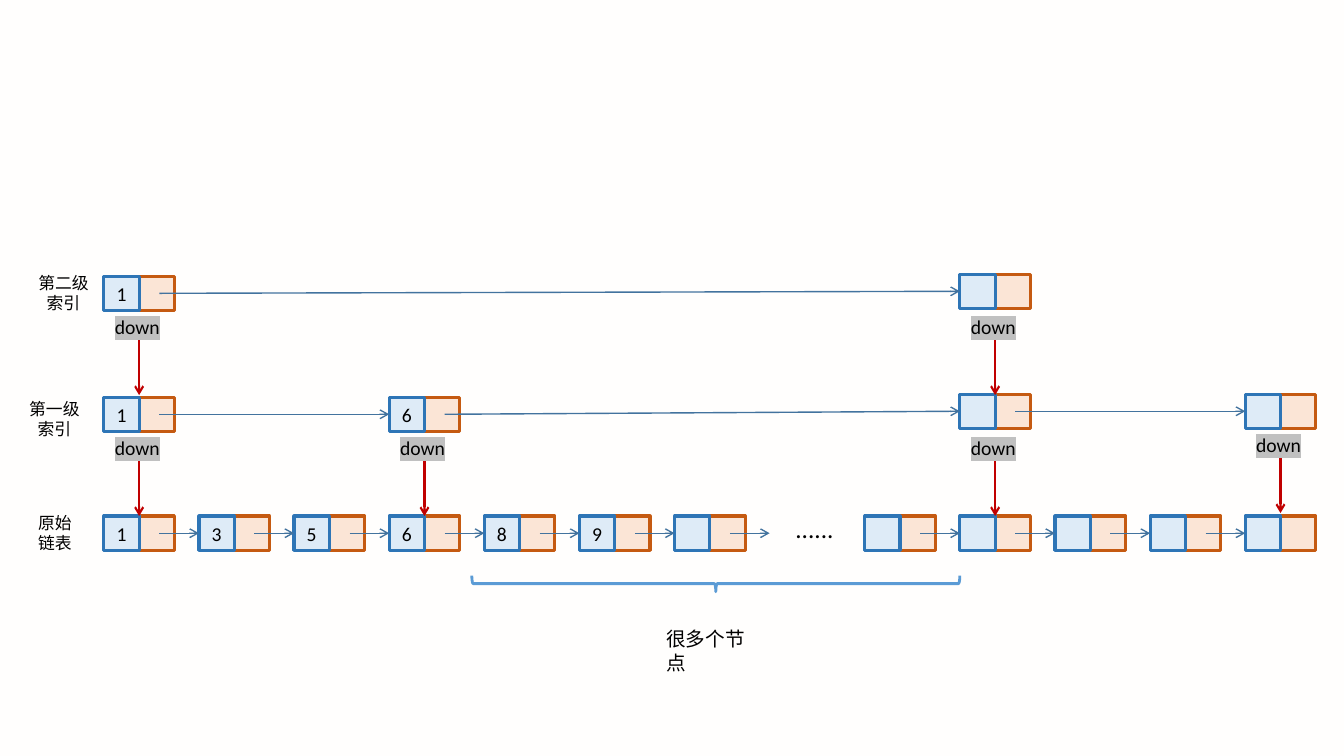
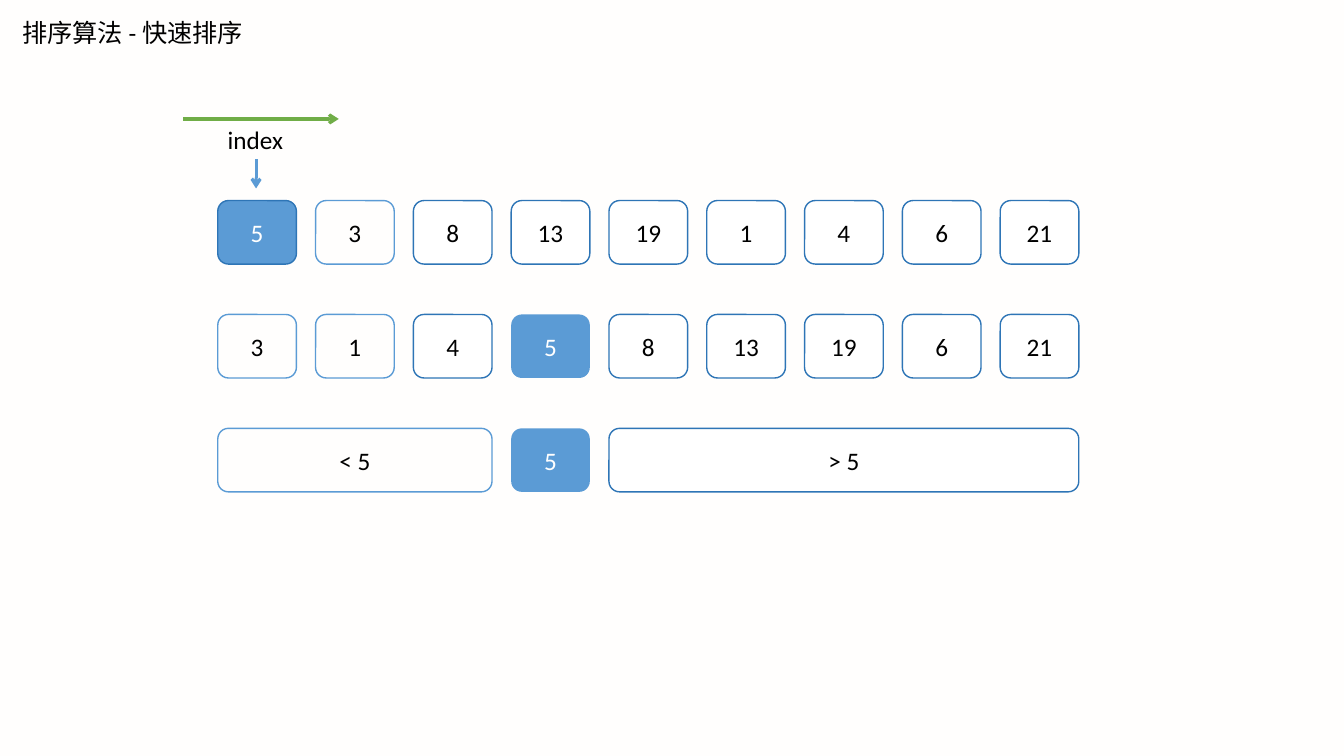
from dataclasses import dataclass
from typing import Optional

import pptx
import pptx.dml.color
import pptx.enum.shapes
import pptx.enum.text
import pptx.oxml.ns
import pptx.util
from lxml import etree

Inches = pptx.util.Inches
Shapes = pptx.enum.shapes.MSO_SHAPE
Align = pptx.enum.text.PP_ALIGN
Anchor = pptx.enum.text.MSO_ANCHOR
qn = pptx.oxml.ns.qn


# Theme
@dataclass(frozen=True)
class Theme:
    background: str = "FFFEFD"
    text: str = "000000"
    white: str = "FFFFFF"
    highlight: str = "C0C0C0"
    accent: str = "5B9BD5"
    outline: str = "2E75B6"
    data_fill: str = "DEEBF7"
    pointer_fill: str = "FBE5D6"
    pointer_outline: str = "C55A11"
    link: str = "43739E"
    down: str = "C00000"
    direction: str = "70AD47"
    latin: str = "Calibri"
    chinese: str = "Noto Sans CJK SC"
    small: int = 12
    medium: int = 14
    large: int = 18


THEME = Theme()


@dataclass(frozen=True)
class Label:
    text: str
    left: float
    top: float
    width: float
    height: float
    size: int = THEME.small
    font: str = THEME.chinese
    align: Align = Align.CENTER
    highlight: Optional[str] = None
    wrap: bool = False


@dataclass(frozen=True)
class Node:
    slot: int
    top: float
    text: str = ""
    next_slot: Optional[int] = None
    has_down: bool = False


@dataclass(frozen=True)
class BoxStyle:
    fill: Optional[str]
    line: Optional[str]
    text: str = THEME.text


@dataclass(frozen=True)
class Box:
    text: str
    style: BoxStyle
    column: int
    span: int = 1


# Shared drawing functions
def rgb(color: str) -> pptx.dml.color.RGBColor:
    return pptx.dml.color.RGBColor.from_string(color)


def write_text(shape, text: str, *, size: int, font: str = THEME.latin,
               color: str = THEME.text, align: Align = Align.LEFT,
               anchor: Anchor = Anchor.TOP, highlight: Optional[str] = None,
               wrap: bool = True) -> None:
    frame = shape.text_frame
    frame.word_wrap = wrap
    frame.vertical_anchor = anchor
    for index, line in enumerate(text.split("\n")):
        paragraph = frame.add_paragraph() if index else frame.paragraphs[0]
        paragraph.alignment = align
        run = paragraph.add_run()
        run.text = line
        run.font.size = pptx.util.Pt(size)
        run.font.color.rgb = rgb(color)
        run.font.name = font
        properties = run._r.get_or_add_rPr()
        etree.SubElement(properties, qn("a:ea"), typeface=THEME.chinese)
        if highlight:
            marker = etree.Element(qn("a:highlight"))
            etree.SubElement(marker, qn("a:srgbClr"), val=highlight)
            properties.find(qn("a:solidFill")).addnext(marker)


def add_label(slide, label: Label) -> None:
    shape = slide.shapes.add_textbox(Inches(label.left), Inches(label.top),
                                     Inches(label.width), Inches(label.height))
    write_text(shape, label.text, size=label.size, font=label.font,
               align=label.align, highlight=label.highlight, wrap=label.wrap)


def add_block(slide, kind: Shapes, left: float, top: float, width: float,
              height: float, *, fill: Optional[str], line: Optional[str],
              weight: float):
    shape = slide.shapes.add_shape(kind, Inches(left), Inches(top),
                                   Inches(width), Inches(height))
    shape.shadow.inherit = False
    if fill:
        shape.fill.solid()
        shape.fill.fore_color.rgb = rgb(fill)
    else:
        shape.fill.background()
    if line:
        shape.line.color.rgb = rgb(line)
        shape.line.width = pptx.util.Pt(weight)
    else:
        shape.line.fill.background()
    return shape


def add_arrow(slide, start: tuple[float, float], end: tuple[float, float], *,
              color: str, weight: float):
    arrow = slide.shapes.add_connector(
        pptx.enum.shapes.MSO_CONNECTOR.STRAIGHT,
        Inches(start[0]), Inches(start[1]), Inches(end[0]), Inches(end[1]))
    arrow.line.color.rgb = rgb(color)
    arrow.line.width = pptx.util.Pt(weight)
    etree.SubElement(arrow.line._get_or_add_ln(), qn("a:tailEnd"), type="arrow")
    etree.SubElement(arrow._element.spPr, qn("a:effectLst"))
    return arrow


# Skip list
CELL_WIDTH, CELL_HEIGHT = 0.35, 0.34
FIRST_LEFT, LAST_LEFT, LAST_SLOT = 1.03, 12.35, 12
GAP_SLOT = 7
BASE_TOP, FIRST_TOP, SECOND_TOP = 5.12, 3.94, 2.74
BASE_TEXTS = ["1", "3", "5", "6", "8", "9"]

NODES = [
    Node(slot, BASE_TOP, BASE_TEXTS[slot] if slot < len(BASE_TEXTS) else "",
         slot + 1 if slot < LAST_SLOT else None)
    for slot in range(LAST_SLOT + 1) if slot != GAP_SLOT
] + [
    Node(0, FIRST_TOP, "1", 3, True),
    Node(3, FIRST_TOP, "6", 9, True),
    Node(9, 3.91, "", 12, True),
    Node(12, 3.91, "", None, True),
    Node(0, SECOND_TOP, "1", 9, True),
    Node(9, 2.72, "", None, True),
]

LIST_LABELS = [
    Label("第二级\n索引", 0.28, 2.66, 0.7, 0.5),
    Label("第一级\n索引", 0.19, 3.91, 0.7, 0.5),
    Label("原始\n链表", 0.28, 5.04, 0.53, 0.5),
    Label("......", 7.79, 5.04, 0.62, 0.4, THEME.large, THEME.latin, Align.LEFT),
    Label("很多个节点", 6.51, 6.17, 1.17, 0.34, THEME.medium, align=Align.LEFT),
]


def slot_left(slot: int) -> float:
    return FIRST_LEFT + slot * (LAST_LEFT - FIRST_LEFT) / LAST_SLOT


def add_node(slide, node: Node):
    left = slot_left(node.slot)
    add_block(slide, Shapes.RECTANGLE, left + CELL_WIDTH, node.top, CELL_WIDTH,
              CELL_HEIGHT, fill=THEME.pointer_fill, line=THEME.pointer_outline,
              weight=2.25)
    data = add_block(slide, Shapes.RECTANGLE, left, node.top, CELL_WIDTH,
                     CELL_HEIGHT, fill=THEME.data_fill, line=THEME.outline,
                     weight=2.25)
    if node.text:
        write_text(data, node.text, size=THEME.medium, align=Align.CENTER,
                   anchor=Anchor.MIDDLE)
    return data


def add_link(slide, node: Node, target) -> None:
    middle = node.top + CELL_HEIGHT / 2
    arrow = add_arrow(slide, (slot_left(node.slot) + 0.55, middle),
                      (slot_left(node.next_slot), middle),
                      color=THEME.link, weight=1)
    if target is not None:
        arrow.end_connect(target, 1)


def add_down(slide, node: Node) -> None:
    left = slot_left(node.slot)
    # The last slot sits with the raised nodes; the others follow the level
    level = node.top if node.slot == LAST_SLOT else (
        FIRST_TOP if node.top > 3.5 else SECOND_TOP)
    center = left + CELL_WIDTH
    add_arrow(slide, (center, level + 0.56), (center, level + 1.18),
              color=THEME.down, weight=1.5)
    add_label(slide, Label("down", left + 0.01, level + CELL_HEIGHT, 0.68, 0.34,
                           THEME.medium, THEME.latin, Align.LEFT,
                           THEME.highlight))


def build_skip_list(presentation) -> None:
    slide = presentation.slides.add_slide(presentation.slide_layouts[6])
    # Nodes, then the arrows between them
    cells = {(node.slot, round(node.top)): add_node(slide, node)
             for node in NODES}
    for node in NODES:
        if node.next_slot is not None:
            add_link(slide, node, cells.get((node.next_slot, round(node.top))))
        if node.has_down:
            add_down(slide, node)
    # Labels and brace
    for label in LIST_LABELS:
        add_label(slide, label)
    brace = add_block(slide, Shapes.LEFT_BRACE, 7.02, 3.37, 0.16, 4.84,
                      fill=None, line=THEME.accent, weight=2)
    brace.rotation = 270


# Quick sort
PIVOT_START = BoxStyle(THEME.accent, THEME.outline, THEME.white)
PIVOT = BoxStyle(THEME.accent, None, THEME.white)
SMALLER = BoxStyle(None, THEME.accent)
PLAIN = BoxStyle(THEME.white, THEME.outline)

BOX_LEFT, BOX_TOP = 2.16, 1.99
BOX_WIDTH, BOX_HEIGHT = 0.78, 0.63
COLUMN_PITCH, ROW_PITCH = 0.97, 1.13


def number_row(numbers: list[int], styles: list[BoxStyle]) -> list[Box]:
    padded = styles + [PLAIN] * (len(numbers) - len(styles))
    return [Box(str(number), style, column)
            for column, (number, style) in enumerate(zip(numbers, padded))]


SORT_ROWS = [
    number_row([5, 3, 8, 13, 19, 1, 4, 6, 21], [PIVOT_START, SMALLER]),
    number_row([3, 1, 4, 5, 8, 13, 19, 6, 21], [SMALLER, SMALLER, PLAIN, PIVOT]),
    [Box("< 5", SMALLER, 0, 3), Box("5", PIVOT, 3), Box("> 5", PLAIN, 4, 5)],
]


def add_title(slide, text: str) -> None:
    title = slide.shapes.title
    title.left, title.top = Inches(0.12), Inches(0.12)
    title.width, title.height = Inches(4.44), Inches(0.4)
    title.text_frame.auto_size = pptx.enum.text.MSO_AUTO_SIZE.NONE
    write_text(title, text, size=THEME.large)


def build_quick_sort(presentation) -> None:
    slide = presentation.slides.add_slide(presentation.slide_layouts[5])
    add_title(slide, "排序算法 - 快速排序")
    # Rows of boxes
    for row, boxes in enumerate(SORT_ROWS):
        for box in boxes:
            shape = add_block(
                slide, Shapes.ROUNDED_RECTANGLE,
                BOX_LEFT + box.column * COLUMN_PITCH, BOX_TOP + row * ROW_PITCH,
                BOX_WIDTH + (box.span - 1) * COLUMN_PITCH, BOX_HEIGHT,
                fill=box.style.fill, line=box.style.line, weight=1)
            write_text(shape, box.text, size=THEME.large, color=box.style.text,
                       align=Align.CENTER, anchor=Anchor.MIDDLE)
    # Index marker
    add_label(slide, Label("index", 2.16, 1.18, 0.86, 0.4, THEME.large,
                           THEME.latin, Align.LEFT, wrap=True))
    add_arrow(slide, (2.54, 1.58), (2.54, 1.87), color=THEME.accent, weight=2.25)
    add_arrow(slide, (1.82, 1.18), (3.36, 1.18), color=THEME.direction, weight=2.25)


def main() -> None:
    presentation = pptx.Presentation()
    presentation.slide_width = Inches(13.33)
    presentation.slide_height = Inches(7.5)
    background = presentation.slide_master.background.fill
    background.solid()
    background.fore_color.rgb = rgb(THEME.background)
    build_skip_list(presentation)
    build_quick_sort(presentation)
    presentation.save("out.pptx")


if __name__ == "__main__":
    main()
